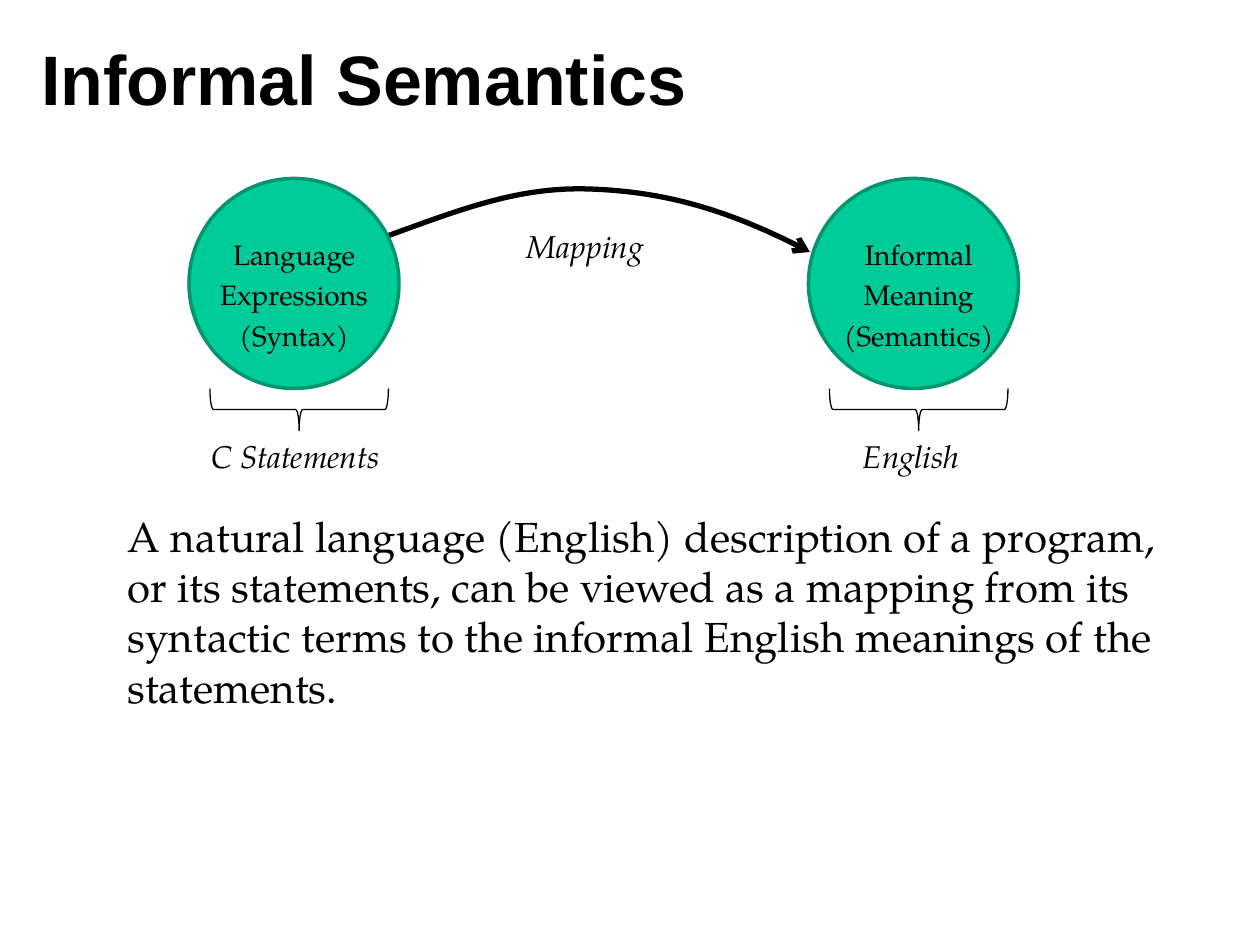
"""Build the Informal Semantics slide: a mapping from syntax to meaning."""
from pptx import Presentation
from pptx.dml.color import RGBColor
from pptx.enum.shapes import MSO_SHAPE as Preset
from pptx.enum.text import MSO_ANCHOR as Anchor, PP_ALIGN as Align
from pptx.oxml.ns import qn
from pptx.util import Pt
from lxml.etree import SubElement

COLORS = {"text": "000000", "circle": "00CC99", "rim": "00956F"}
SERIF = "TeX Gyre Pagella"
TITLE = "Informal Semantics"
BODY = ("A natural language (English) description of a program, or its statements, "
        "can be viewed as a mapping from its syntactic terms to the informal "
        "English meanings of the statements.")
MEANING = {"left": 462, "lines": ["Informal", "Meaning", "(Semantics)"],
           "text": (468, 114), "caption": "English", "caption_at": (486, 78)}
LANGUAGE = {"left": 108, "lines": ["Language", "Expressions", "(Syntax)"],
            "text": (114, 108), "caption": "C Statements", "caption_at": (114, 114)}
CURVE = [(216, 136.8), (263.5, 119.5), (296, 106.6), (337, 108),
         (378, 109.4), (417.6, 120.2), (462.8, 144)]
CIRCLE_TOP, CIRCLE_SIZE = 102, 120
BRACE_WIDTH, BRACE_DEPTH, BRACE_INDENT = 102, 24, 12


def color(name):
    return RGBColor.from_string(COLORS[name])


def add_text(slide, lines, left, top, width, height, size, font=SERIF,
             bold=False, italic=False, align=Align.LEFT, anchor=Anchor.TOP, gap=0):
    box = slide.shapes.add_textbox(Pt(left), Pt(top), Pt(width), Pt(height))
    frame = box.text_frame
    frame.word_wrap = True
    frame.vertical_anchor = anchor
    frame.text = "\n".join(lines)
    for index, para in enumerate(frame.paragraphs):
        para.alignment = align
        para.space_before = Pt(gap if index else 0)
        for span in para.runs:
            span.font.name = font
            span.font.size = Pt(size)
            span.font.bold = bold
            span.font.italic = italic
            span.font.color.rgb = color("text")


def style_line(shape, name, width):
    shape.shadow.inherit = False
    shape.line.color.rgb = color(name)
    shape.line.width = Pt(width)


def add_circle(slide, domain):
    circle = slide.shapes.add_shape(Preset.OVAL, Pt(domain["left"]), Pt(CIRCLE_TOP),
                                    Pt(CIRCLE_SIZE), Pt(CIRCLE_SIZE))
    circle.fill.solid()
    circle.fill.fore_color.rgb = color("circle")
    style_line(circle, "rim", 2)


def add_labels(slide, domain):
    left, width = domain["text"]
    add_text(slide, domain["lines"], left, 132, width, 66, 16, align=Align.CENTER, gap=4)
    left, width = domain["caption_at"]
    add_text(slide, [domain["caption"]], left, 246, width, 36, 18, italic=True)


def add_brace(slide, domain):
    center_x = domain["left"] + BRACE_INDENT + BRACE_WIDTH / 2
    center_y = CIRCLE_TOP + CIRCLE_SIZE + BRACE_DEPTH / 2
    brace = slide.shapes.add_shape(
        Preset.LEFT_BRACE, Pt(center_x - BRACE_DEPTH / 2), Pt(center_y - BRACE_WIDTH / 2),
        Pt(BRACE_DEPTH), Pt(BRACE_WIDTH))
    brace.rotation = 270
    brace.fill.background()
    style_line(brace, "text", 0.75)


def add_mapping_arrow(slide):
    points = [(Pt(x), Pt(y)) for x, y in CURVE]
    builder = slide.shapes.build_freeform(*points[0])
    builder.add_line_segments(points[1:], close=False)
    arrow = builder.convert_to_shape()
    arrow.fill.background()
    style_line(arrow, "text", 3)
    outline = next(arrow.element.iter(qn("a:path")))
    segments = outline.findall(qn("a:lnTo"))
    for start in range(0, len(segments), 3):
        bezier = SubElement(outline, qn("a:cubicBezTo"))
        for segment in segments[start:start + 3]:
            bezier.append(segment[0])
            outline.remove(segment)
    SubElement(arrow.line._get_or_add_ln(), qn("a:tailEnd"), type="arrow")


def main():
    deck = Presentation()
    deck.slide_width, deck.slide_height = Pt(720), Pt(540)
    slide = deck.slides.add_slide(deck.slide_layouts[6])
    add_text(slide, [TITLE], 16.5, 11, 578, 67, 40, font="Arial", bold=True,
             anchor=Anchor.MIDDLE)
    add_text(slide, [BODY], 66, 288, 612, 138, 24)
    add_circle(slide, MEANING)
    add_mapping_arrow(slide)
    add_circle(slide, LANGUAGE)
    for domain in (MEANING, LANGUAGE):
        add_labels(slide, domain)
        add_brace(slide, domain)
    add_text(slide, ["Mapping"], 294, 126, 90, 36, 18, italic=True)
    deck.save("out.pptx")


if __name__ == "__main__":
    main()
